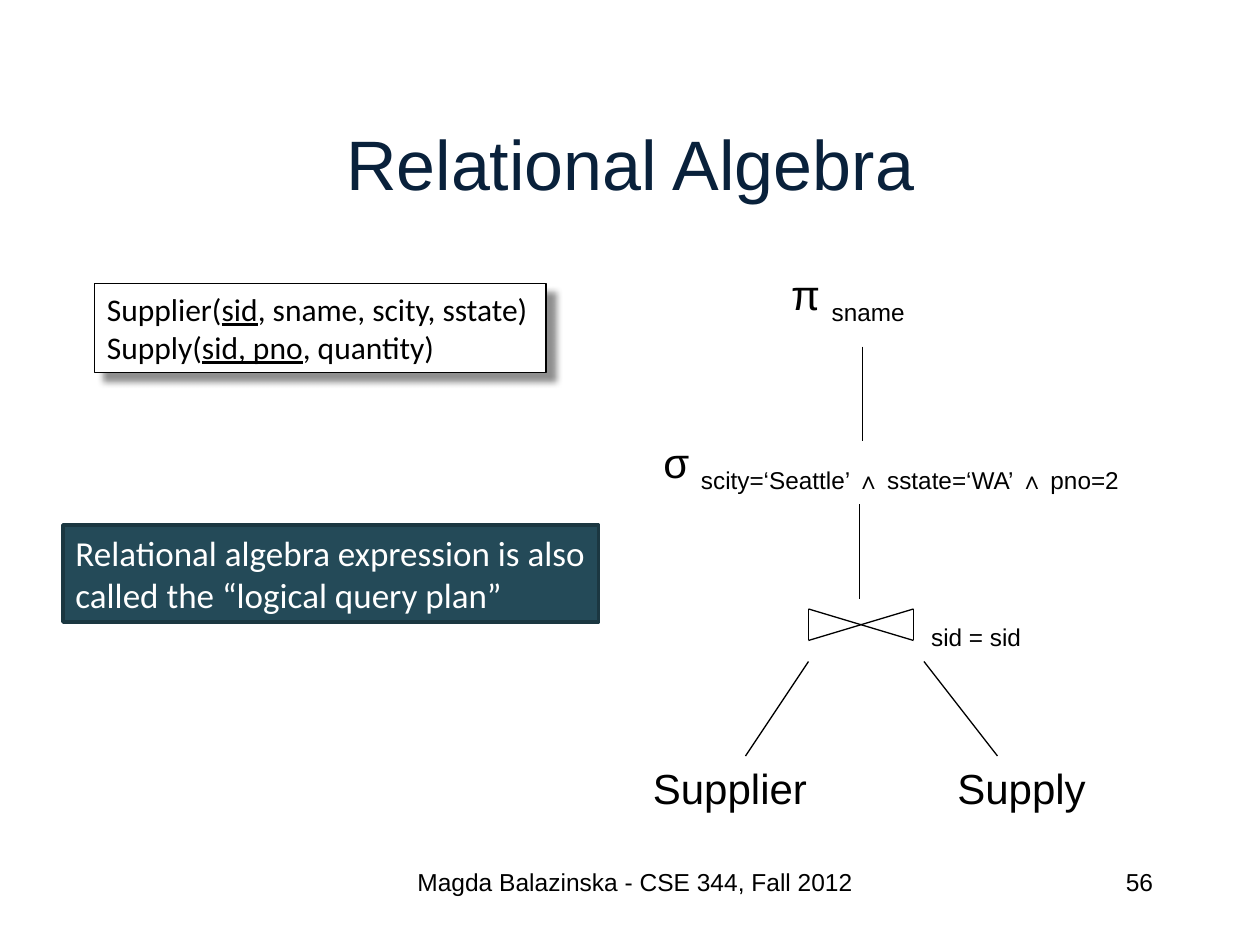
from dataclasses import dataclass

from lxml import etree
from pptx import Presentation
from pptx.dml.color import RGBColor
from pptx.enum.shapes import MSO_CONNECTOR, MSO_SHAPE
from pptx.enum.text import MSO_ANCHOR, PP_ALIGN
from pptx.oxml import parse_xml
from pptx.oxml.ns import nsdecls, qn
from pptx.util import Pt

STRAIGHT = MSO_CONNECTOR.STRAIGHT
RECTANGLE = MSO_SHAPE.RECTANGLE
TOP, MIDDLE = MSO_ANCHOR.TOP, MSO_ANCHOR.MIDDLE
LEFT, CENTER, RIGHT = PP_ALIGN.LEFT, PP_ALIGN.CENTER, PP_ALIGN.RIGHT


@dataclass(frozen=True)
class Theme:
    black: str = "000000"
    white: str = "FFFFFF"
    title: str = "09213B"
    note_fill: str = "244A58"
    note_line: str = "1B3741"
    heading_font: str = "Arial"
    box_font: str = "Calibri"
    title_size: float = 40
    tree_size: float = 24
    note_size: float = 20
    schema_size: float = 18
    footer_size: float = 14
    thin: float = 0.75
    thick: float = 2


THEME = Theme()


@dataclass(frozen=True)
class Run:
    text: str
    underline: bool = False
    subscript: bool = False


@dataclass(frozen=True)
class Label:
    """Text with its frame in points."""
    frame: tuple[float, float, float, float]
    paragraphs: list[list[Run]]
    size: float = THEME.tree_size
    font: str = THEME.heading_font
    color: str = THEME.black
    align: PP_ALIGN = LEFT
    anchor: MSO_ANCHOR = TOP
    wrap: bool = False


@dataclass(frozen=True)
class Panel:
    label: Label
    fill: str
    line: str
    line_width: float
    shadow: bool = False


@dataclass(frozen=True)
class Line:
    start: tuple[float, float]
    end: tuple[float, float]


def write_text(shape, label: Label) -> None:
    frame = shape.text_frame
    frame.word_wrap = label.wrap
    frame.vertical_anchor = label.anchor
    for index, runs in enumerate(label.paragraphs):
        paragraph = frame.add_paragraph() if index else frame.paragraphs[0]
        paragraph.alignment = label.align
        for item in runs:
            run = paragraph.add_run()
            run.text = item.text
            formats = {"name": label.font, "size": Pt(label.size),
                       "underline": item.underline}
            for name, value in formats.items():
                setattr(run.font, name, value)
            run.font.color.rgb = RGBColor.from_string(label.color)
            if item.subscript:
                run._r.get_or_add_rPr().set("baseline", "-25000")


def add_label(slide, label: Label) -> None:
    write_text(slide.shapes.add_textbox(*map(Pt, label.frame)), label)


def add_shadow(shape) -> None:
    effects = shape._element.spPr.find(qn("a:effectLst"))
    effects.append(parse_xml(
        f'<a:outerShdw {nsdecls("a")} blurRad="{Pt(4)}" dist="{Pt(7)}" '
        f'dir="2700000" algn="tl" rotWithShape="0">'
        f'<a:srgbClr val="{THEME.black}"><a:alpha val="43000"/></a:srgbClr>'
        f'</a:outerShdw>'))


def add_panel(slide, panel: Panel) -> None:
    shape = slide.shapes.add_shape(RECTANGLE, *map(Pt, panel.label.frame))
    shape.shadow.inherit = False
    shape.fill.solid()
    shape.fill.fore_color.rgb = RGBColor.from_string(panel.fill)
    shape.line.color.rgb = RGBColor.from_string(panel.line)
    shape.line.width = Pt(panel.line_width)
    if panel.shadow:
        add_shadow(shape)
    write_text(shape, panel.label)


def add_line(shapes, line: Line) -> None:
    connector = shapes.add_connector(STRAIGHT, *map(Pt, line.start + line.end))
    connector.line.color.rgb = RGBColor.from_string(THEME.black)
    connector.line.width = Pt(THEME.thin)
    etree.SubElement(connector._element.spPr, qn("a:effectLst"))


def add_join(slide, left: float, top: float, width: float, height: float) -> None:
    """Bow-tie join symbol: two sides and two diagonals."""
    right, bottom = left + width, top + height
    group = slide.shapes.add_group_shape()
    for start, end in (((left, top), (left, bottom)),
                       ((right, top), (right, bottom)),
                       ((left, top), (right, bottom)),
                       ((right, top), (left, bottom))):
        add_line(group.shapes, Line(start, end))


# Title and footer
FRAME_LABELS = [
    Label((54, 48, 612, 90), [[Run("Relational Algebra")]], THEME.title_size,
          color=THEME.title, align=CENTER, anchor=MIDDLE, wrap=True),
    Label((228, 492, 270, 36), [[Run("Magda Balazinska - CSE 344, Fall 2012")]],
          THEME.footer_size, align=CENTER, wrap=True),
    Label((516, 492, 150, 36), [[Run("56")]], THEME.footer_size,
          align=RIGHT, wrap=True),
]

# Query tree, from the root down
TREE_LABELS = [
    Label((445, 150, 81, 36), [[Run("π "), Run("sname", subscript=True)]]),
    Label((372, 246, 321, 36.5),
          [[Run("σ "),
            Run("scity=‘Seattle’ ∧ sstate=‘WA’ ∧ pno=2", subscript=True)]]),
    Label((525, 336, 74, 27), [[Run("sid = sid", subscript=True)]]),
    Label((366, 432, 103, 36), [[Run("Supplier")]]),
    Label((540, 432, 88, 36), [[Run("Supply")]]),
]
TREE_LINES = [
    Line((493, 198), (493, 252)),
    Line((491, 288), (491, 342)),
    Line((462, 378), (426, 432)),
    Line((528, 378), (570, 432)),
]

# Schema and remark
PANELS = [
    Panel(Label((54, 162, 258, 51),
                [[Run("Supplier("), Run("sid", underline=True),
                  Run(", sname, scity, sstate)")],
                 [Run("Supply("), Run("sid, pno", underline=True),
                  Run(", quantity)")]],
                THEME.schema_size, THEME.box_font, wrap=True),
          THEME.white, THEME.black, THEME.thin, shadow=True),
    Panel(Label((36, 300, 306, 55.5),
                [[Run("Relational algebra expression is also called the "
                      "“logical query plan”")]],
                THEME.note_size, THEME.box_font, THEME.white, wrap=True),
          THEME.note_fill, THEME.note_line, THEME.thick),
]


def main() -> None:
    presentation = Presentation()
    presentation.slide_width, presentation.slide_height = Pt(720), Pt(540)
    slide = presentation.slides.add_slide(presentation.slide_layouts[6])
    for label in FRAME_LABELS + TREE_LABELS:
        add_label(slide, label)
    for line in TREE_LINES:
        add_line(slide.shapes, line)
    add_join(slide, 462, 348, 60, 18)
    for panel in PANELS:
        add_panel(slide, panel)
    presentation.save("out.pptx")


if __name__ == "__main__":
    main()
